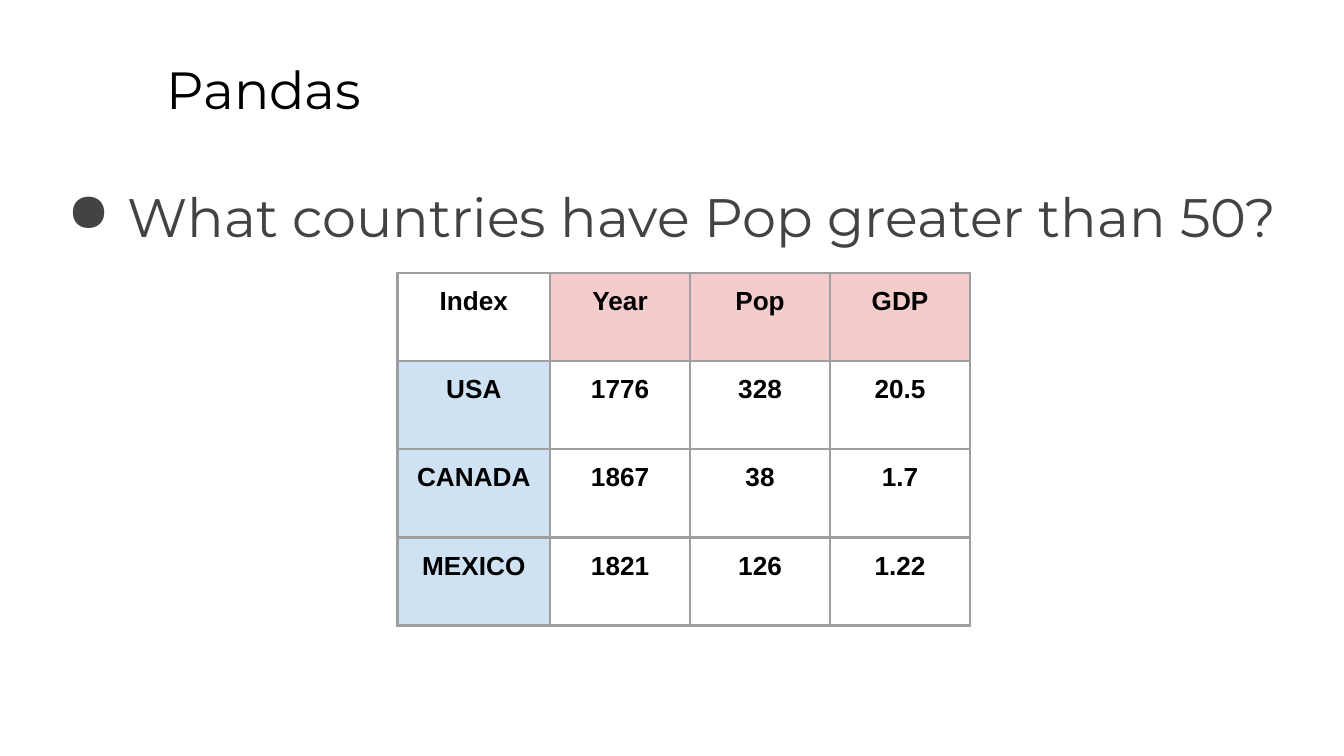
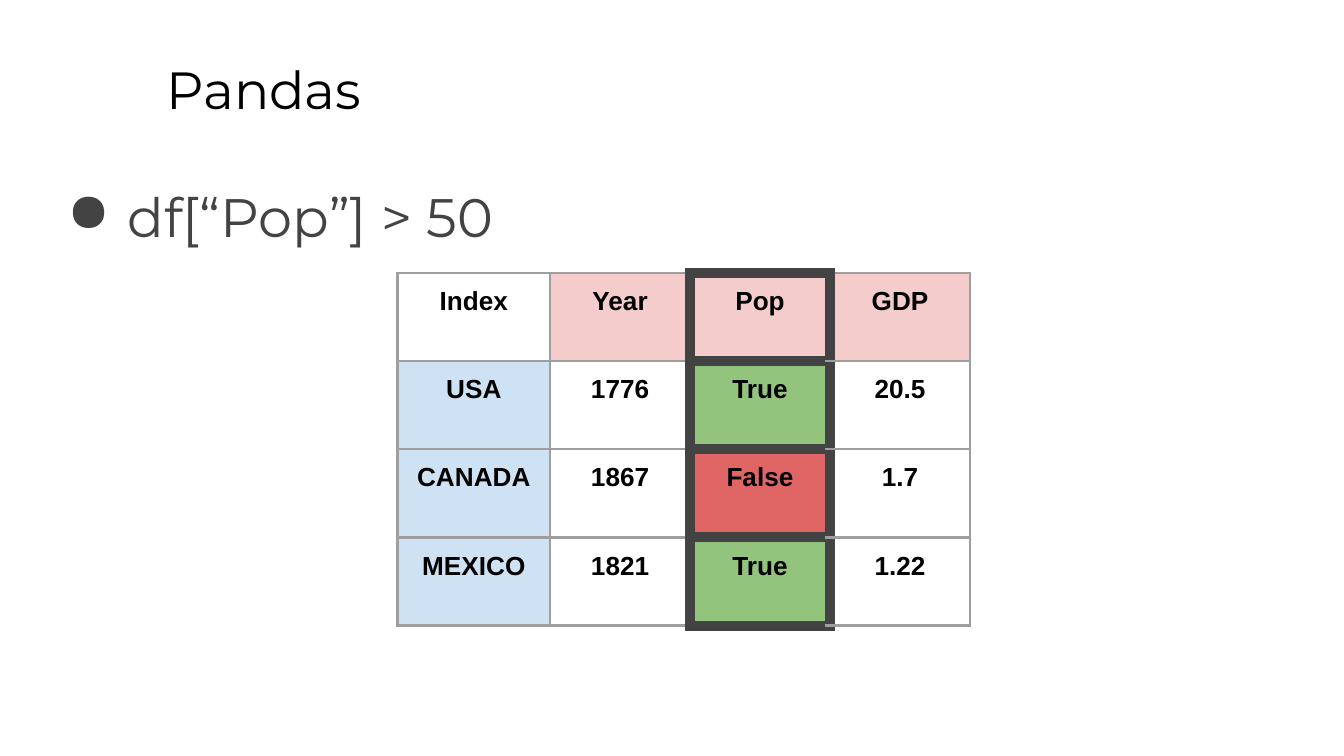
from dataclasses import dataclass

from lxml.etree import SubElement
from pptx import Presentation
from pptx.dml.color import RGBColor as Rgb
from pptx.enum.text import MSO_ANCHOR as Anchor, MSO_AUTO_SIZE as AutoSize, PP_ALIGN as Align
from pptx.oxml import parse_xml
from pptx.oxml.ns import nsdecls, qn
from pptx.util import Pt

PX = 9525
COLUMNS = ["Index", "Year", "Pop", "GDP"]
COUNTRIES = [
    ["USA", "1776", "328", "20.5"],
    ["CANADA", "1867", "38", "1.7"],
    ["MEXICO", "1821", "126", "1.22"],
]


@dataclass(frozen=True)
class Theme:
    """Colours, fonts, type sizes and line widths."""
    background: str = "FFFFFF"
    ink: str = "000000"
    grey: str = "434343"
    grid: str = "9E9E9E"
    header: str = "F4CCCC"
    index: str = "CFE2F3"
    true: str = "93C47D"
    false: str = "E06666"
    text_font: str = "Montserrat"
    table_font: str = "Arial"
    title_size: int = 28
    question_size: int = 29
    cell_size: int = 14
    grid_width: float = 1.5
    focus_width: float = 6
    inset: int = 10


class Deck:
    """Holds the theme and the current slide, and draws each kind of element."""

    def __init__(self, theme):
        self.theme = theme
        self.presentation = Presentation()
        self.presentation.slide_width = 960 * PX
        self.presentation.slide_height = 540 * PX
        self.slide = None

    def add_slide(self, title):
        """Start a slide with its title."""
        self.slide = self.presentation.slides.add_slide(self.presentation.slide_layouts[5])
        backdrop = self.slide.background.fill
        backdrop.solid()
        backdrop.fore_color.rgb = Rgb.from_string(self.theme.background)
        heading = self.slide.shapes.title
        heading.left, heading.top, heading.width, heading.height = (
            length * PX for length in (109, 31, 818, 60))
        self.set_line(heading.text_frame, title, self.theme.title_size, self.theme.ink)

    def set_line(self, frame, text, size, color):
        """Fill a text frame with one left-aligned paragraph and return it."""
        frame.auto_size = AutoSize.NONE
        frame.word_wrap = True
        frame.vertical_anchor = Anchor.TOP
        self.set_insets(frame)
        frame.text = text
        paragraph = frame.paragraphs[0]
        paragraph.alignment = Align.LEFT
        self.set_font(paragraph, self.theme.text_font, size, color)
        return paragraph

    def set_insets(self, holder):
        """Give a text frame or a cell equal margins."""
        holder.margin_left = holder.margin_right = self.theme.inset * PX
        holder.margin_top = holder.margin_bottom = self.theme.inset * PX

    def set_font(self, paragraph, name, size, color, bold=False):
        """Set the font of a whole paragraph."""
        font = paragraph.font
        font.name, font.size, font.bold = name, Pt(size), bold
        font.color.rgb = Rgb.from_string(color)

    def add_bullet(self, text):
        """Add the bulleted line under the title."""
        box = self.slide.shapes.add_textbox(33 * PX, 121 * PX, 912 * PX, 359 * PX)
        paragraph = self.set_line(box.text_frame, text, self.theme.question_size, self.theme.grey)
        properties = paragraph._p.get_or_add_pPr()
        properties.set("marL", str(48 * PX))
        properties.set("indent", str(-43 * PX))
        bullet = parse_xml(f'<a:buClr {nsdecls("a")}><a:srgbClr val="{self.theme.grey}"/></a:buClr>')
        properties.insert(0, bullet)
        character = SubElement(properties, qn("a:buChar"))
        character.set("char", "●")
        bullet.addnext(character)

    def add_table(self, rows, focus=None):
        """Add the country table, with a heavy frame round the focus column."""
        widths = [109, 100, 100, 100]
        row_height = 63
        table = self.slide.shapes.add_table(
            len(rows), len(widths), 284 * PX, 195 * PX,
            sum(widths) * PX, len(rows) * row_height * PX).table
        table.first_row = table.horz_banding = False
        for column, width in zip(table.columns, widths):
            column.width = width * PX
        for row_number, row in enumerate(rows):
            for column_number, text in enumerate(row):
                cell = table.cell(row_number, column_number)
                self.set_cell(cell, text, self.cell_fill(text, row_number, column_number))
                self.add_borders(cell, self.focus_sides(column_number, focus))

    def cell_fill(self, text, row_number, column_number):
        """Choose the fill of a cell, or None."""
        if row_number == 0:
            return self.theme.header if column_number else None
        if column_number == 0:
            return self.theme.index
        return {"True": self.theme.true, "False": self.theme.false}.get(text)

    def focus_sides(self, column_number, focus):
        """Name the sides of a cell that touch the focus column."""
        if focus is None:
            return ""
        return {0: "LRTB", -1: "R", 1: "L"}.get(column_number - focus, "")

    def set_cell(self, cell, text, color):
        """Set the text and fill of one cell."""
        cell.text = text
        cell.vertical_anchor = Anchor.TOP
        self.set_insets(cell)
        paragraph = cell.text_frame.paragraphs[0]
        paragraph.alignment = Align.CENTER
        self.set_font(paragraph, self.theme.table_font, self.theme.cell_size, self.theme.ink, True)
        if color:
            cell.fill.solid()
            cell.fill.fore_color.rgb = Rgb.from_string(color)
        else:
            cell.fill.background()

    def add_borders(self, cell, heavy_sides):
        """Draw the four borders of one cell."""
        properties = cell._tc.get_or_add_tcPr()
        for position, side in enumerate("LRTB"):
            heavy = side in heavy_sides
            color = self.theme.grey if heavy else self.theme.grid
            width = Pt(self.theme.focus_width if heavy else self.theme.grid_width)
            properties.insert(position, parse_xml(
                f'<a:ln{side} {nsdecls("a")} w="{width}"><a:solidFill>'
                f'<a:srgbClr val="{color}"/></a:solidFill></a:ln{side}>'))


def main():
    """Build the two slides on filtering by population."""
    deck = Deck(Theme())
    deck.add_slide("Pandas")
    deck.add_bullet("What countries have Pop greater than 50?")
    deck.add_table([COLUMNS, *COUNTRIES])

    deck.add_slide("Pandas")
    deck.add_bullet("df[“Pop”] > 50")
    compared = [[country, year, str(int(population) > 50), gdp]
                for country, year, population, gdp in COUNTRIES]
    deck.add_table([COLUMNS, *compared], focus=COLUMNS.index("Pop"))
    deck.presentation.save("out.pptx")


if __name__ == "__main__":
    main()
